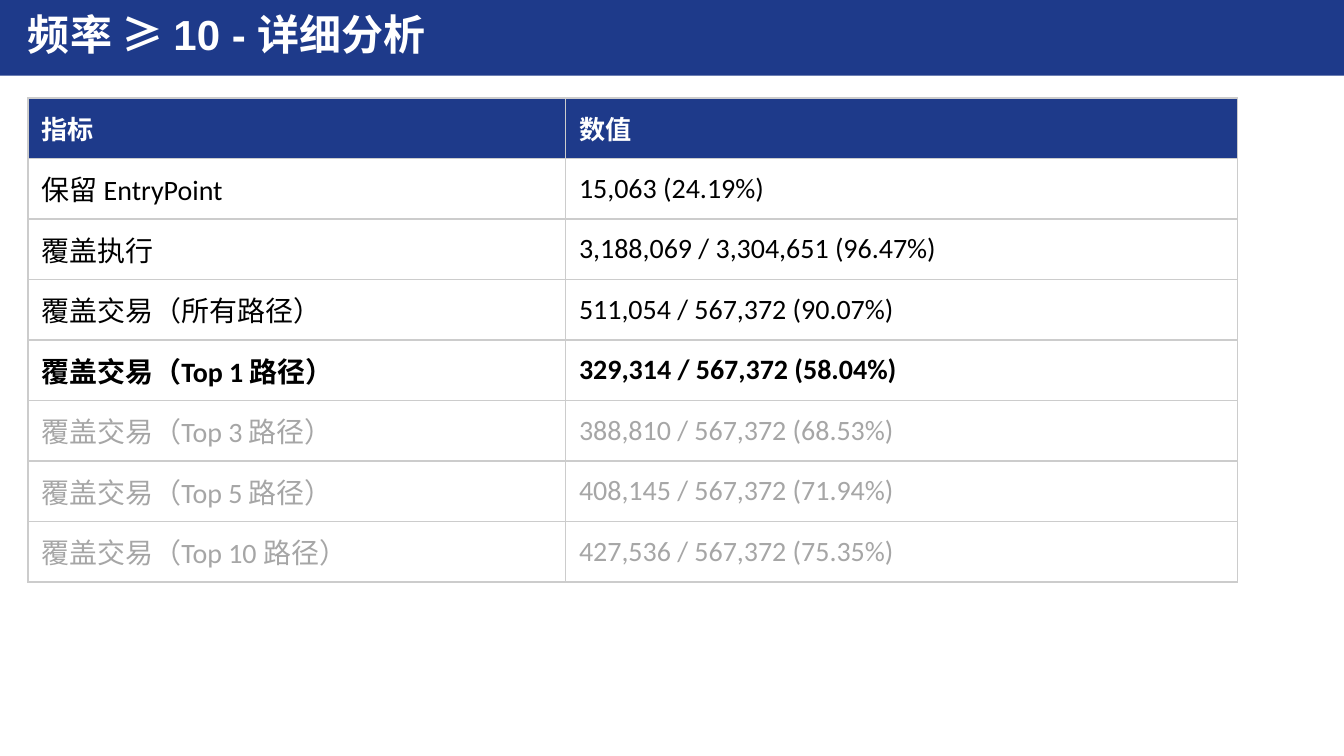
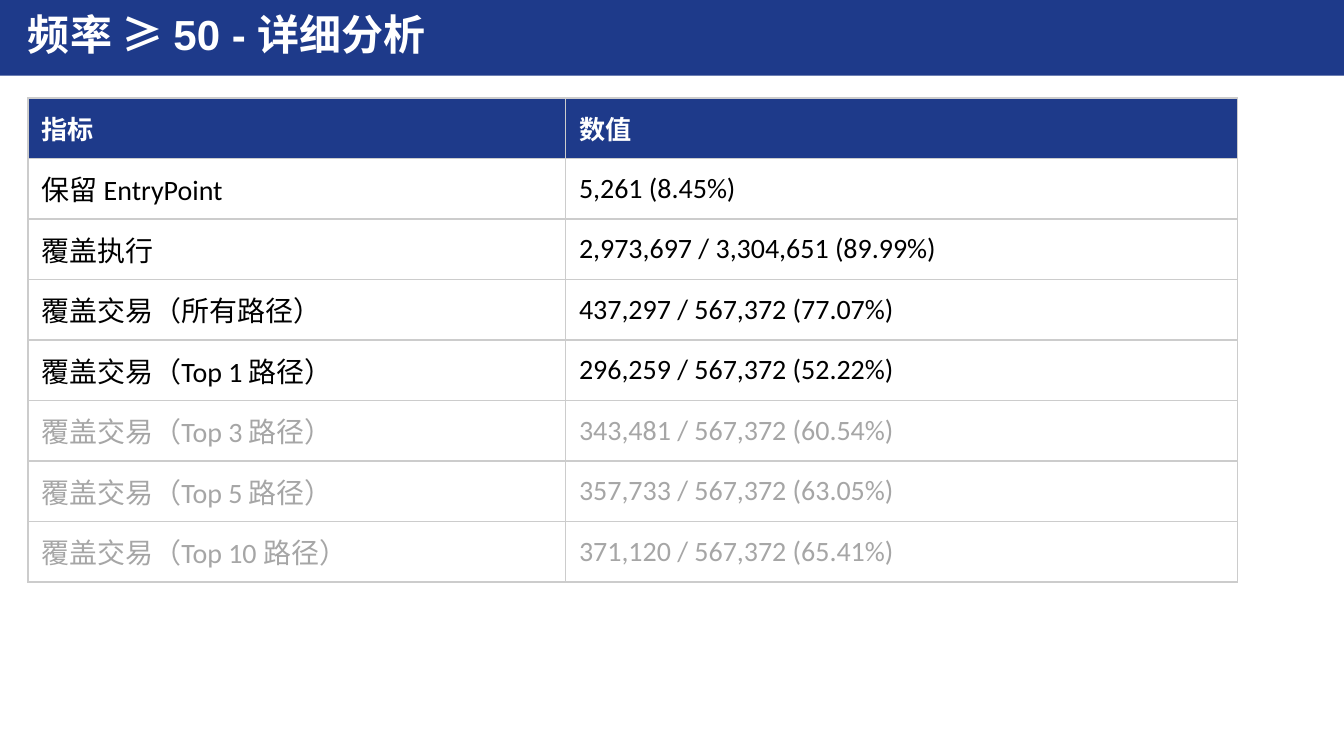
from dataclasses import dataclass

from lxml.etree import SubElement
from pptx import Presentation
from pptx.dml.color import RGBColor
from pptx.enum.shapes import MSO_SHAPE
from pptx.enum.text import MSO_ANCHOR
from pptx.oxml.ns import qn
from pptx.util import Pt


@dataclass(frozen=True)
class Theme:
    navy: str = "1E3A8A"
    white: str = "FFFFFF"
    black: str = "000000"
    muted: str = "A6A6A6"
    border: str = "CCCCCC"
    title_font: str = "Arial"
    table_font: str = "Calibri"
    title_size: float = 22.5
    header_size: float = 14
    body_size: float = 15


@dataclass(frozen=True)
class Box:
    left: float
    top: float
    width: float
    height: float

    def lengths(self):
        return Pt(self.left), Pt(self.top), Pt(self.width), Pt(self.height)


THEME = Theme()
SLIDE_WIDTH, SLIDE_HEIGHT = 720, 405
BAND = Box(0, 0, SLIDE_WIDTH, 40.5)
TABLE = Box(15, 52.5, 690, 322.5)
COLUMN_WIDTHS = (288, 360)
ROW_HEIGHT = 32.4

HEADERS = ("指标", "数值")
METRICS = ("保留 EntryPoint", "覆盖执行", "覆盖交易（所有路径）") + tuple(
    f"覆盖交易（Top {count} 路径）" for count in (1, 3, 5, 10)
)
FIRST_MUTED_ROW = 5


@dataclass(frozen=True)
class Analysis:
    threshold: int
    values: tuple
    bold_row: int = 0


ANALYSES = (
    Analysis(
        10,
        (
            "15,063 (24.19%)",
            "3,188,069 / 3,304,651 (96.47%)",
            "511,054 / 567,372 (90.07%)",
            "329,314 / 567,372 (58.04%)",
            "388,810 / 567,372 (68.53%)",
            "408,145 / 567,372 (71.94%)",
            "427,536 / 567,372 (75.35%)",
        ),
        bold_row=4,
    ),
    Analysis(
        50,
        (
            "5,261 (8.45%)",
            "2,973,697 / 3,304,651 (89.99%)",
            "437,297 / 567,372 (77.07%)",
            "296,259 / 567,372 (52.22%)",
            "343,481 / 567,372 (60.54%)",
            "357,733 / 567,372 (63.05%)",
            "371,120 / 567,372 (65.41%)",
        ),
    ),
)


def write_text(text_frame, text, *, font, size, color, bold=False, line_spacing=None):
    paragraph = text_frame.paragraphs[0]
    if line_spacing:
        paragraph.line_spacing = Pt(line_spacing)
    run = paragraph.add_run()
    run.text = text
    run.font.name = font
    run.font.size = Pt(size)
    run.font.bold = bold
    run.font.color.rgb = RGBColor.from_string(color)


def fill_solid(target, color):
    target.fill.solid()
    target.fill.fore_color.rgb = RGBColor.from_string(color)


def add_title_band(slide, box, title):
    band = slide.shapes.add_shape(MSO_SHAPE.RECTANGLE, *box.lengths())
    band.shadow.inherit = False
    fill_solid(band, THEME.navy)
    band.line.fill.background()

    title_box = Box(box.left + 15, box.top + 9, 353, THEME.title_size)
    text_frame = slide.shapes.add_textbox(*title_box.lengths()).text_frame
    text_frame.word_wrap = True
    text_frame.margin_left = text_frame.margin_right = 0
    text_frame.margin_top = text_frame.margin_bottom = 0
    write_text(text_frame, title, font=THEME.title_font, size=THEME.title_size,
               color=THEME.white, bold=True, line_spacing=THEME.title_size)


def add_cell_borders(cell):
    """Line all four sides; must run before the fill, which follows in the schema."""
    properties = cell._tc.get_or_add_tcPr()
    for side in ("lnL", "lnR", "lnT", "lnB"):
        line = SubElement(properties, qn(f"a:{side}"), w=str(Pt(1)))
        fill = SubElement(line, qn("a:solidFill"))
        SubElement(fill, qn("a:srgbClr"), val=THEME.border)


def row_format(row_index, bold_row):
    if row_index == 0:
        return {"size": THEME.header_size, "color": THEME.white, "bold": True}
    color = THEME.muted if row_index >= FIRST_MUTED_ROW else THEME.black
    return {"size": THEME.body_size, "color": color, "bold": row_index == bold_row}


def add_metric_table(slide, box, analysis):
    rows = (HEADERS, *zip(METRICS, analysis.values))
    frame = slide.shapes.add_table(len(rows), len(HEADERS), *box.lengths())
    table = frame.table
    table.first_row = table.horz_banding = False
    for column, width in zip(table.columns, COLUMN_WIDTHS):
        column.width = Pt(width)

    for row_index, texts in enumerate(rows):
        table.rows[row_index].height = Pt(ROW_HEIGHT)
        text_format = row_format(row_index, analysis.bold_row)
        for column_index, text in enumerate(texts):
            cell = table.cell(row_index, column_index)
            cell.vertical_anchor = MSO_ANCHOR.MIDDLE
            add_cell_borders(cell)
            if row_index == 0:
                fill_solid(cell, THEME.navy)
            else:
                cell.fill.background()
            write_text(cell.text_frame, text, font=THEME.table_font, **text_format)

    # Row and column changes resize the frame, so its box is set last.
    frame.left, frame.top, frame.width, frame.height = box.lengths()


def add_analysis_slide(presentation, analysis):
    slide = presentation.slides.add_slide(presentation.slide_layouts[6])
    fill_solid(slide.background, THEME.white)
    add_title_band(slide, BAND, f"频率 ≥ {analysis.threshold} - 详细分析")
    add_metric_table(slide, TABLE, analysis)


def main():
    presentation = Presentation()
    presentation.slide_width = Pt(SLIDE_WIDTH)
    presentation.slide_height = Pt(SLIDE_HEIGHT)
    for analysis in ANALYSES:
        add_analysis_slide(presentation, analysis)
    presentation.save("out.pptx")


if __name__ == "__main__":
    main()
